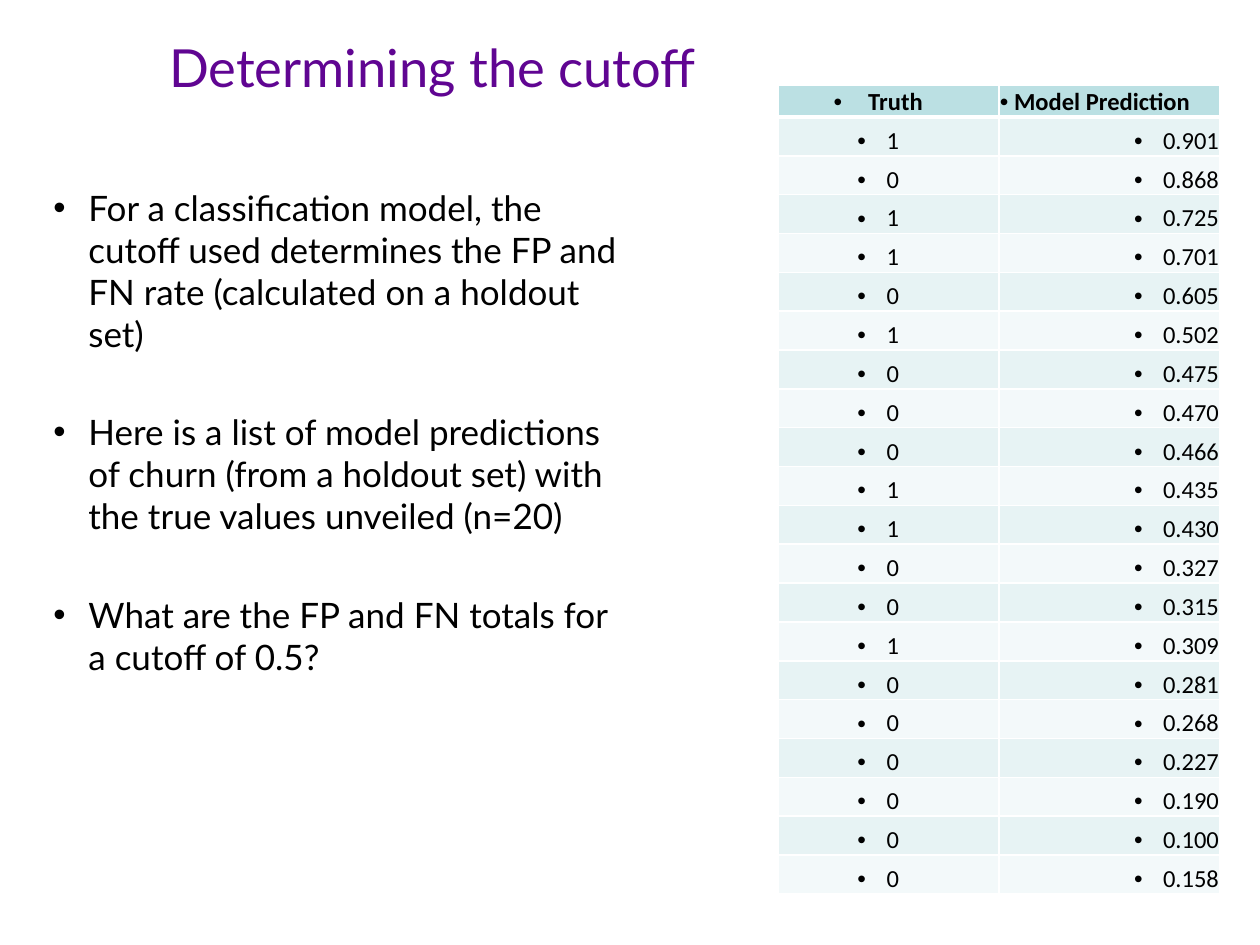
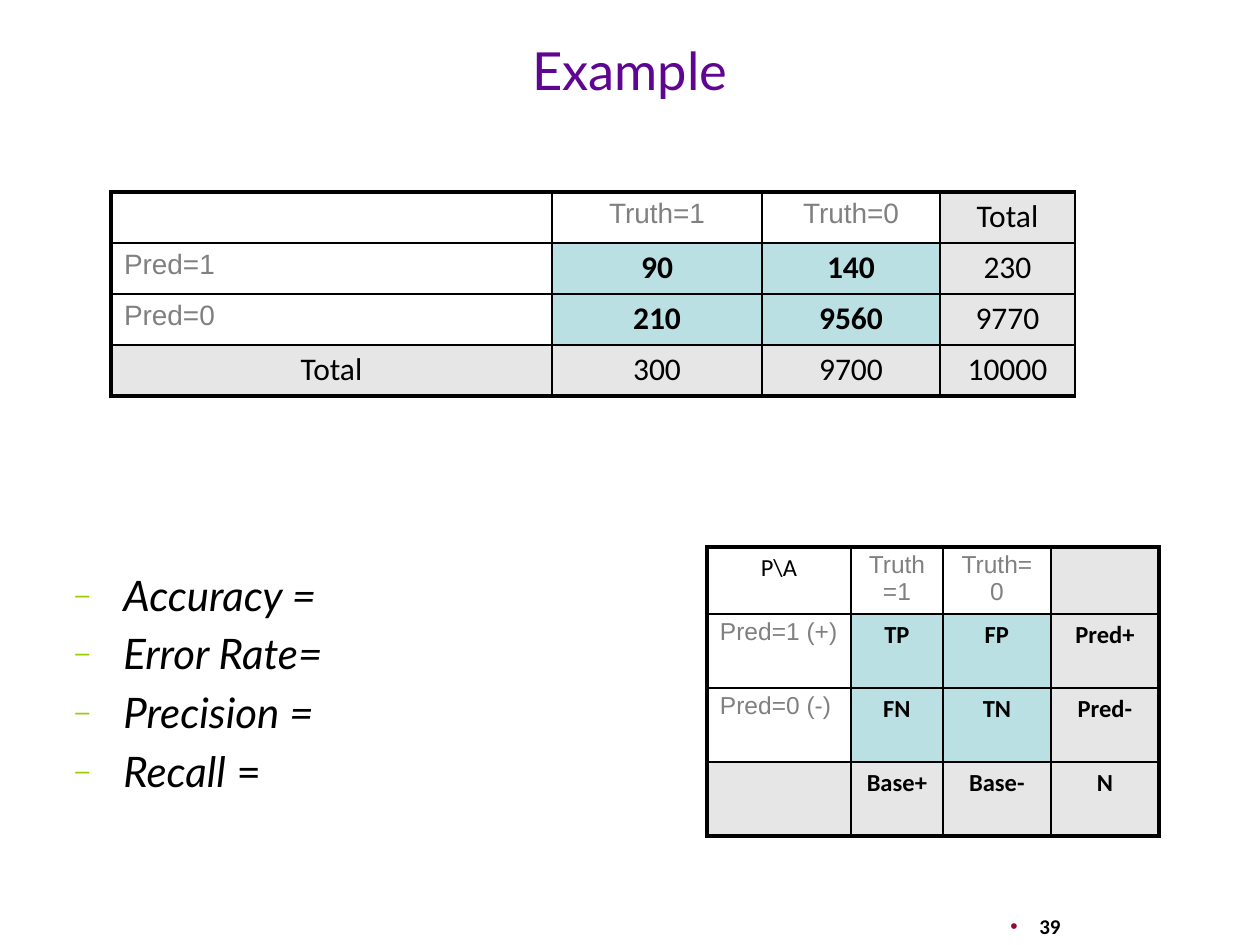
"""Build two slides on choosing a cutoff and reading a confusion matrix."""
from dataclasses import dataclass, replace

from lxml import etree
from pptx import Presentation
from pptx import util as u
from pptx.dml.color import RGBColor
from pptx.enum import text
from pptx.oxml.ns import qn

PX_PER_INCH = 126
PURPLE, BLACK, GREY, WHITE = "600592", "000000", "808080", "FFFFFF"
TEAL, PALE, PALER, SHADE = "BBE0E3", "E7F3F4", "F3F9FA", "E6E6E6"
LIME, CRIMSON = "99CC00", "8E0D30"
LEFT, CENTER, RIGHT = text.PP_ALIGN.LEFT, text.PP_ALIGN.CENTER, text.PP_ALIGN.RIGHT
TOP, MIDDLE, BOTTOM = text.MSO_ANCHOR.TOP, text.MSO_ANCHOR.MIDDLE, text.MSO_ANCHOR.BOTTOM


@dataclass(frozen=True)
class Style:
    """Look of one run of text."""
    font: str
    size: float
    color: str = BLACK
    bold: bool = False
    italic: bool = False


@dataclass(frozen=True)
class Bullet:
    """Bullet sign with its text margin and hang in px."""
    margin: int = 0
    hang: int = 0
    char: str = "•"
    color: str = ""
    percent: int = 100


@dataclass(frozen=True)
class CellLook:
    """Text style, fill and placement of one table cell, with insets in px."""
    style: Style
    fill: str = ""
    align: int = CENTER
    anchor: int = TOP
    bullet: Bullet = None
    side_inset: int = 13
    top_inset: int = 6
    bottom_inset: int = 6


TITLE = Style("Lato", 30, PURPLE)
BODY = Style("Lato", 20)
METRIC = Style("Lato", 24, italic=True)
PAGE_NUMBER = Style("Calibri", 12, bold=True)

PREDICTIONS = [
    ("1", "0.901"), ("0", "0.868"), ("1", "0.725"), ("1", "0.701"), ("0", "0.605"),
    ("1", "0.502"), ("0", "0.475"), ("0", "0.470"), ("0", "0.466"), ("1", "0.435"),
    ("1", "0.430"), ("0", "0.327"), ("0", "0.315"), ("1", "0.309"), ("0", "0.281"),
    ("0", "0.268"), ("0", "0.227"), ("0", "0.190"), ("0", "0.100"), ("0", "0.158"),
]
CUTOFF_POINTS = [
    "For a classification model, the cutoff used determines the FP and FN rate "
    "(calculated on a holdout set)",
    "Here is a list of model predictions of churn (from a holdout set) with the "
    "true values unveiled (n=20)",
    "What are the FP and FN totals for a cutoff of 0.5?",
]
COUNTS = [
    ("", "Truth=1", "Truth=0", "Total"),
    ("Pred=1", "90", "140", "230"),
    ("Pred=0", "210", "9560", "9770"),
    ("Total", "300", "9700", "10000"),
]
LEGEND = [
    ("P\\A", "Truth=1", "Truth=0", ""),
    ("Pred=1 (+)", "TP", "FP", "Pred+"),
    ("Pred=0 (-)", "FN", "TN", "Pred-"),
    ("", "Base+", "Base-", "N"),
]


def px(length):
    """Turn px into EMU."""
    return u.Emu(round(length * 914400 / PX_PER_INCH))


def rgb(hex_color):
    """Turn a hex string into a colour."""
    return RGBColor.from_string(hex_color)


def style_run(run, style):
    """Give a run its font, size, colour and weight."""
    run.font.name = style.font
    run.font.size = u.Pt(style.size)
    run.font.bold = style.bold
    run.font.italic = style.italic
    run.font.color.rgb = rgb(style.color)


def add_bullet(paragraph, bullet):
    """Put a bullet with a hanging indent on a paragraph."""
    props = paragraph._p.get_or_add_pPr()
    props.set("marL", str(px(bullet.margin)))
    props.set("indent", str(-px(bullet.hang)))
    if bullet.color:
        holder = etree.SubElement(props, qn("a:buClr"))
        etree.SubElement(holder, qn("a:srgbClr"), val=bullet.color)
    if bullet.percent != 100:
        etree.SubElement(props, qn("a:buSzPct"), val=str(bullet.percent * 1000))
    etree.SubElement(props, qn("a:buFont"), typeface="Arial")
    etree.SubElement(props, qn("a:buChar"), char=bullet.char)


def write(paragraph, wording, style, align=LEFT, bullet=None):
    """Fill one paragraph with styled text."""
    paragraph.text = wording
    if bullet:
        add_bullet(paragraph, bullet)
    paragraph.alignment = align
    for run in paragraph.runs:
        style_run(run, style)


def add_text(slide, box, wordings, style, align=LEFT, anchor=TOP, bullet=None, gap=0):
    """Add a text box of paragraphs, with a gap in points between them."""
    frame = slide.shapes.add_textbox(*map(px, box)).text_frame
    frame.word_wrap = True
    frame.vertical_anchor = anchor
    for index, wording in enumerate(wordings):
        paragraph = frame.add_paragraph() if index else frame.paragraphs[0]
        write(paragraph, wording, style, align, bullet)
        if index:
            paragraph.space_before = u.Pt(gap)
    return frame


def add_title(slide, box, wording):
    """Add the slide title."""
    add_text(slide, box, [wording], TITLE, CENTER, MIDDLE)


def set_borders(cell, color, weights):
    """Draw the left, right, top and bottom borders, with weights in points."""
    props = cell._tc.get_or_add_tcPr()
    for side, weight in zip("LRTB", weights):
        line = etree.SubElement(props, qn(f"a:ln{side}"), w=str(u.Pt(weight)))
        fill = etree.SubElement(line, qn("a:solidFill"))
        etree.SubElement(fill, qn("a:srgbClr"), val=color)


def fill_cell(cell, wording, look):
    """Write and paint one cell."""
    if look.fill:
        cell.fill.solid()
        cell.fill.fore_color.rgb = rgb(look.fill)
    else:
        cell.fill.background()
    cell.vertical_anchor = look.anchor
    cell.margin_left = cell.margin_right = px(look.side_inset)
    cell.margin_top, cell.margin_bottom = px(look.top_inset), px(look.bottom_inset)
    if wording:
        write(cell.text_frame.paragraphs[0], wording, look.style, look.align, look.bullet)


def add_grid(slide, corner, widths, heights, rows, look_of, line_color, weights_of):
    """Add a table whose looks and borders follow from row and column."""
    table = slide.shapes.add_table(len(rows), len(widths), *map(px, corner),
                                   px(sum(widths)), px(sum(heights))).table
    table.first_row = table.horz_banding = False
    for column, width in zip(table.columns, widths):
        column.width = px(width)
    for r, (row, height) in enumerate(zip(rows, heights)):
        table.rows[r].height = px(height)
        for c, wording in enumerate(row):
            cell = table.cell(r, c)
            set_borders(cell, line_color, weights_of(r, c))
            fill_cell(cell, wording, look_of(r, c))


def prediction_look(r, c):
    """Look of a cell in the list of predictions."""
    header = r == 0
    fill = TEAL if header else PALE if r % 2 else PALER
    align = CENTER if c == 0 else LEFT if header else RIGHT
    bullet = Bullet() if align == LEFT else Bullet(8, 29)
    return CellLook(Style("Calibri", 14, bold=header), fill, align, BOTTOM, bullet, 1, 1, 0)


def prediction_weights(r, c):
    """Border weights in the list of predictions, heavy under the header."""
    return 1, 1, 3 if r == 1 else 1, 3 if r == 0 else 1


def matrix_look(label, value, bold_totals, label_inset):
    """Make the look rule of a confusion matrix with totals on its edges."""
    bold = replace(value, bold=True)

    def look_of(r, c):
        if r == 3 or c == 3:
            return CellLook(bold if bold_totals else value, SHADE)
        if r and c:
            return CellLook(bold, TEAL)
        if r == c:
            return CellLook(value)
        return CellLook(label, align=CENTER if c else LEFT,
                        top_inset=label_inset, bottom_inset=label_inset)
    return look_of


def matrix_weights(right):
    """Make the border rule of a matrix with a heavy frame."""
    frame = 2.25

    def weights_of(r, c):
        return (1 if c else frame, right if c == 3 else 1,
                1 if r else frame, frame if r == 3 else 1)
    return weights_of


def build_cutoff(slide):
    """Slide on how the cutoff is determined."""
    add_title(slide, (0, 16, 865, 101), "Determining the cutoff")
    add_text(slide, (41, 180, 591, 568), CUTOFF_POINTS, BODY,
             bullet=Bullet(35, 35), gap=32.3)
    count = len(PREDICTIONS)
    add_grid(slide, (778, 85), [221, 221], [32] + [777 / count] * count,
             [(" Truth", " Model Prediction")] + PREDICTIONS,
             prediction_look, WHITE, prediction_weights)


def build_example(slide):
    """Slide with a worked confusion matrix and its legend."""
    add_title(slide, (63, 19, 1134, 101), "Example")
    metrics = add_text(slide, (63, 563, 560, 241),
                       ["Accuracy =", "Error Rate=", "Precision =", "Recall"], METRIC,
                       bullet=Bullet(48, 48, "–", LIME, 60), gap=4.8)
    equals = metrics.paragraphs[-1].add_run()
    equals.text = " ="
    style_run(equals, replace(METRIC, italic=False))
    add_text(slide, (998, 892, 262, 53), ["39"], PAGE_NUMBER, anchor=BOTTOM,
             bullet=Bullet(29, 29, color=CRIMSON))
    add_grid(slide, (111, 192), [441, 210, 178, 135], [51] * 4, COUNTS,
             matrix_look(Style("Arial", 16, GREY), Style("Calibri", 18), False, 6),
             BLACK, matrix_weights(1))
    add_grid(slide, (707, 547), [144, 92, 108, 108], [67] + [74] * 3, LEGEND,
             matrix_look(Style("Arial", 14, GREY), Style("Calibri", 14), True, 4),
             BLACK, matrix_weights(2.25))


def main():
    """Build and save the presentation."""
    deck = Presentation()
    deck.slide_width, deck.slide_height = px(1260), px(945)
    for build in (build_cutoff, build_example):
        build(deck.slides.add_slide(deck.slide_layouts[6]))
    deck.save("out.pptx")


if __name__ == "__main__":
    main()
